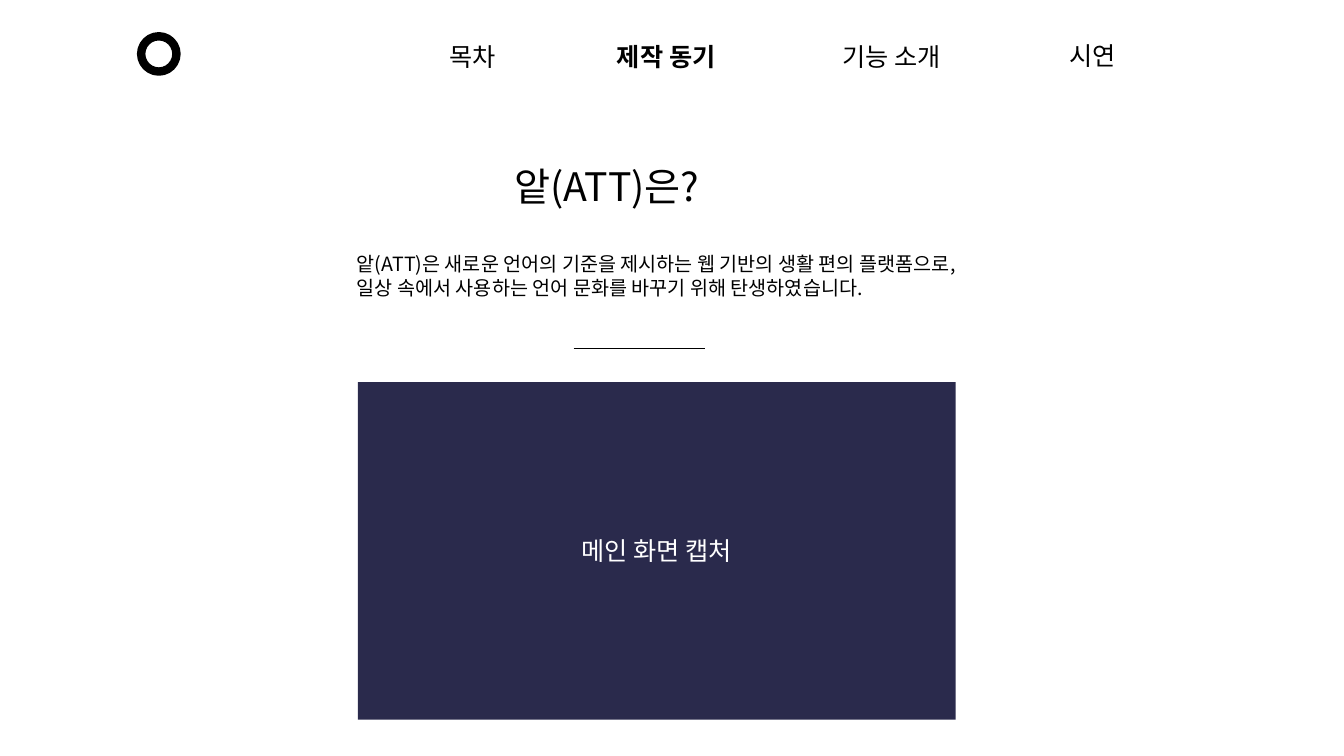
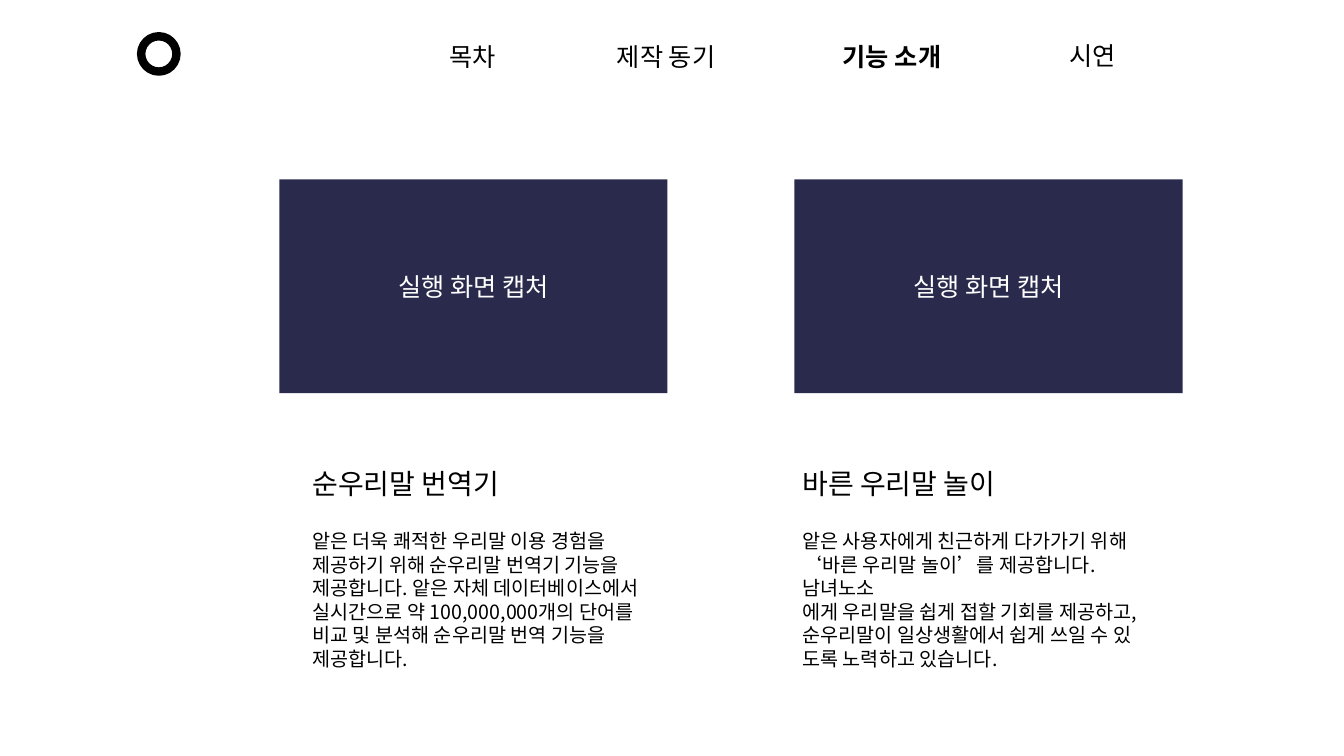
from pptx import Presentation
from pptx import util as u
from pptx.dml import color
from pptx.enum import shapes, text
from pptx.oxml import ns
from lxml import etree

SCALE = 9144
FONT = "Noto Sans CJK KR"
COLORS = {"ink": "000000", "paper": "FFFFFF", "panel": "2A2A4C"}
NAV = [
    ("목차", 436, 36, 68),
    ("제작 동기", 602, 36, 122),
    ("기능 소개", 826, 36, 122),
    ("시연", 1051, 35, 68),
]
FEATURES = [
    (277, 300, 212, 358, "순우리말 번역기", [
        "앝은 더욱 쾌적한 우리말 이용 경험을",
        "제공하기 위해 순우리말 번역기 기능을",
        "제공합니다. 앝은 자체 데이터베이스에서",
        "실시간으로 약 100,000,000개의 단어를",
        "비교 및 분석해 순우리말 번역 기능을",
        "제공합니다.",
    ]),
    (788, 786, 220, 372, "바른 우리말 놀이", [
        "앝은 사용자에게 친근하게 다가가기 위해",
        "‘바른 우리말 놀이’를 제공합니다. 남녀노소",
        "에게 우리말을 쉽게 접할 기회를 제공하고,",
        "순우리말이 일상생활에서 쉽게 쓰일 수 있",
        "도록 노력하고 있습니다.",
    ]),
]


def px(*vals):
    return [u.Emu(v * SCALE) for v in vals]


def rgb(name):
    return color.RGBColor.from_string(COLORS[name])


def write(frame, lines, size, ink="ink", bold=False, align=text.PP_ALIGN.LEFT):
    frame.text = "\n".join(lines)
    for para in frame.paragraphs:
        para.alignment = align
        para.line_spacing = u.Pt(round(size * 1.2, 1))
        for run in para.runs:
            font = run.font
            font.name = FONT
            font.size = u.Pt(size)
            font.bold = bold
            font.color.rgb = rgb(ink)
            east = etree.SubElement(run._r.get_or_add_rPr(), ns.qn("a:ea"))
            east.set("typeface", FONT)


def add_text(slide, lines, box, size, bold=False):
    frame = slide.shapes.add_textbox(*px(*box)).text_frame
    frame.word_wrap = False
    frame.auto_size = text.MSO_AUTO_SIZE.SHAPE_TO_FIT_TEXT
    write(frame, lines, size, bold=bold)


def add_panel(slide, label, box):
    panel = slide.shapes.add_shape(shapes.MSO_SHAPE.RECTANGLE, *px(*box))
    panel.shadow.inherit = False
    panel.fill.solid()
    panel.fill.fore_color.rgb = rgb("panel")
    panel.line.fill.background()
    frame = panel.text_frame
    frame.vertical_anchor = text.MSO_ANCHOR.MIDDLE
    write(frame, [label], 18, "paper", align=text.PP_ALIGN.CENTER)


def add_ring(slide):
    ring = slide.shapes.add_shape(shapes.MSO_SHAPE.OVAL, *px(140, 36, 35, 35))
    ring.shadow.inherit = False
    ring.fill.background()
    ring.line.color.rgb = rgb("ink")
    ring.line.width = u.Pt(6)


def add_rule(slide, left, right, top):
    rule = slide.shapes.add_connector(
        shapes.MSO_CONNECTOR.STRAIGHT, *px(left, top, right, top))
    rule.line.color.rgb = rgb("ink")
    rule.line.width = u.Pt(0.5)
    etree.SubElement(rule._element.spPr, ns.qn("a:effectLst"))


def add_page(deck, active):
    slide = deck.slides.add_slide(deck.slide_layouts[6])
    slide.background.fill.solid()
    slide.background.fill.fore_color.rgb = rgb("paper")
    add_ring(slide)
    for label, left, top, width in NAV:
        add_text(slide, [label], (left, top, width, 40), 18, label == active)
    return slide


def add_motive(deck):
    slide = add_page(deck, "제작 동기")
    add_text(slide, ["앝(ATT)은?"], (500, 156, 213, 57), 28)
    add_text(slide, [
        "앝(ATT)은 새로운 언어의 기준을 제시하는 웹 기반의 생활 편의 플랫폼으로,",
        "일상 속에서 사용하는 언어 문화를 바꾸기 위해 탄생하였습니다.",
    ], (344, 245, 645, 57), 14)
    add_rule(slide, 569, 699, 346)
    add_panel(slide, "메인 화면 캡처", (355, 379, 593, 335))


def add_features(deck):
    slide = add_page(deck, "기능 소개")
    for left, start, head, width, title, lines in FEATURES:
        add_panel(slide, "실행 화면 캡처", (left, 178, 385, 212))
        add_text(slide, [title], (start, 458, head, 44), 20)
        tall = round(10 + 23.5 * len(lines))
        add_text(slide, lines, (start, 520, width, tall), 14)


def main():
    deck = Presentation()
    deck.slide_width, deck.slide_height = px(1333, 750)
    add_motive(deck)
    add_features(deck)
    deck.save("out.pptx")


if __name__ == "__main__":
    main()
